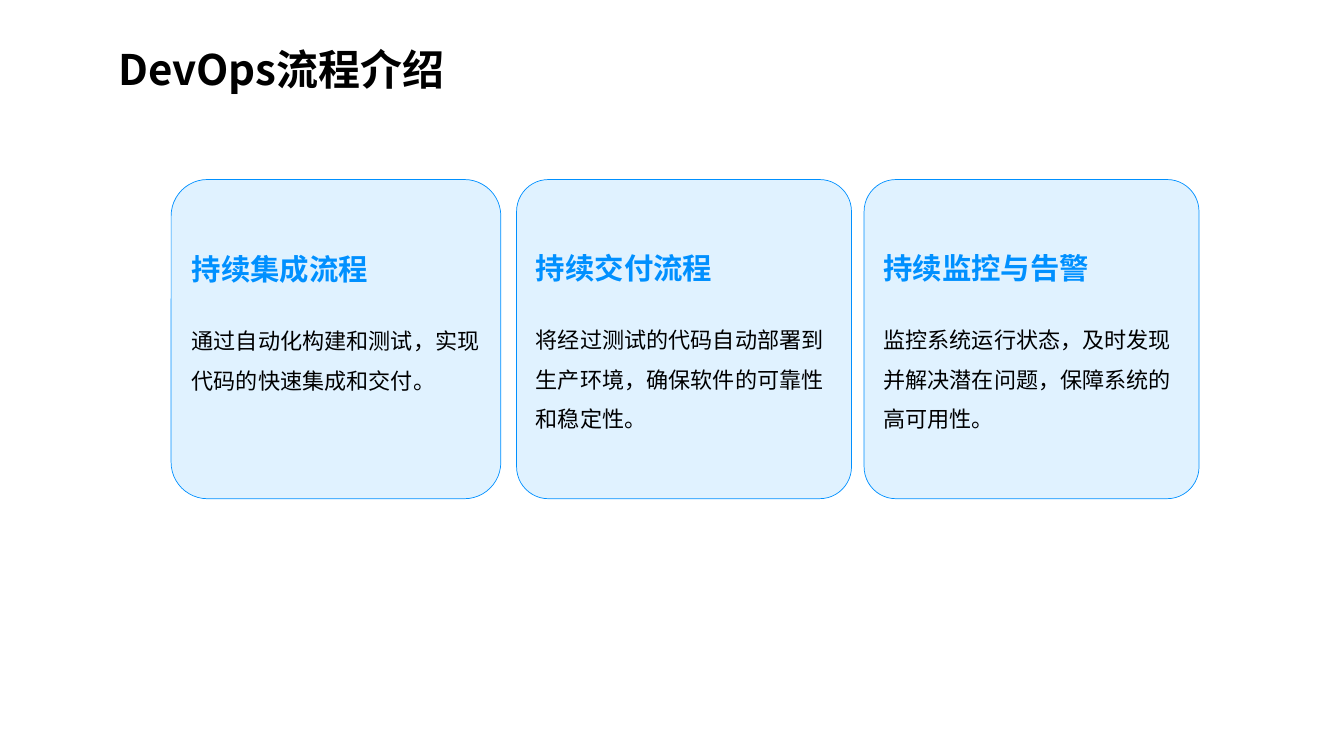
import pptx
import pptx.util
import pptx.dml.color
import pptx.enum.shapes
import pptx.enum.text
from dataclasses import dataclass

PX = 9525  # EMU in one px


@dataclass(frozen=True)
class Theme:
    font: str = "Noto Sans CJK SC"
    ink: str = "000000"
    blue: str = "0090FF"
    pale: str = "E0F2FF"
    title: float = 30
    head: float = 21
    body: float = 15.8
    line: float = 0.5


THEME = Theme()
TOP, HIGH = 171, 304

# Left, width, corner, heading, body
CARDS = [
    (163, 314, 0.114, "持续集成流程", "通过自动化构建和测试，实现代码的快速集成和交付。"),
    (492, 319, 0.1, "持续交付流程", "将经过测试的代码自动部署到生产环境，确保软件的可靠性和稳定性。"),
    (823, 319, 0.1, "持续监控与告警", "监控系统运行状态，及时发现并解决潜在问题，保障系统的高可用性。"),
]


def px(num):
    return pptx.util.Emu(num * PX)


def tint(code):
    return pptx.dml.color.RGBColor.from_string(code)


def style(para, size, color, bold=False):
    para.alignment = pptx.enum.text.PP_ALIGN.LEFT
    for run in para.runs:
        font = run.font
        font.name = THEME.font
        font.size = pptx.util.Pt(size)
        font.bold = bold
        font.color.rgb = tint(color)
        # East Asian typeface
        face = run._r.get_or_add_rPr().makeelement(
            pptx.oxml.ns.qn("a:ea"), {"typeface": THEME.font})
        run._r.rPr.append(face)


def add_title(slide, text):
    title = slide.shapes.title
    title.left, title.top = px(103), px(12)
    title.width, title.height = px(984), px(82)
    frame = title.text_frame
    frame.text = text
    frame.vertical_anchor = pptx.enum.text.MSO_ANCHOR.MIDDLE
    para = frame.paragraphs[0]
    para.line_spacing = 1.5
    style(para, THEME.title, THEME.ink, True)


def add_card(slide, left, width, corner, head, body):
    card = slide.shapes.add_shape(
        pptx.enum.shapes.MSO_SHAPE.ROUNDED_RECTANGLE,
        px(left), px(TOP), px(width), px(HIGH))
    card.adjustments[0] = corner
    card.shadow.inherit = False
    card.fill.solid()
    card.fill.fore_color.rgb = tint(THEME.pale)
    card.line.color.rgb = tint(THEME.blue)
    card.line.width = pptx.util.Pt(THEME.line)

    # Heading over body, set from the top edge
    frame = card.text_frame
    frame.word_wrap = True
    frame.vertical_anchor = pptx.enum.text.MSO_ANCHOR.TOP
    frame.margin_top = px(58)
    frame.text = head
    style(frame.paragraphs[0], THEME.head, THEME.blue, True)
    para = frame.add_paragraph()
    para.text = body
    para.line_spacing = 1.5
    para.space_before = pptx.util.Pt(20)
    style(para, THEME.body, THEME.ink)


def main():
    deck = pptx.Presentation()
    deck.slide_width, deck.slide_height = px(1280), px(720)
    slide = deck.slides.add_slide(deck.slide_layouts[5])
    add_title(slide, "DevOps流程介绍")
    for card in CARDS:
        add_card(slide, *card)
    deck.save("out.pptx")


if __name__ == "__main__":
    main()
